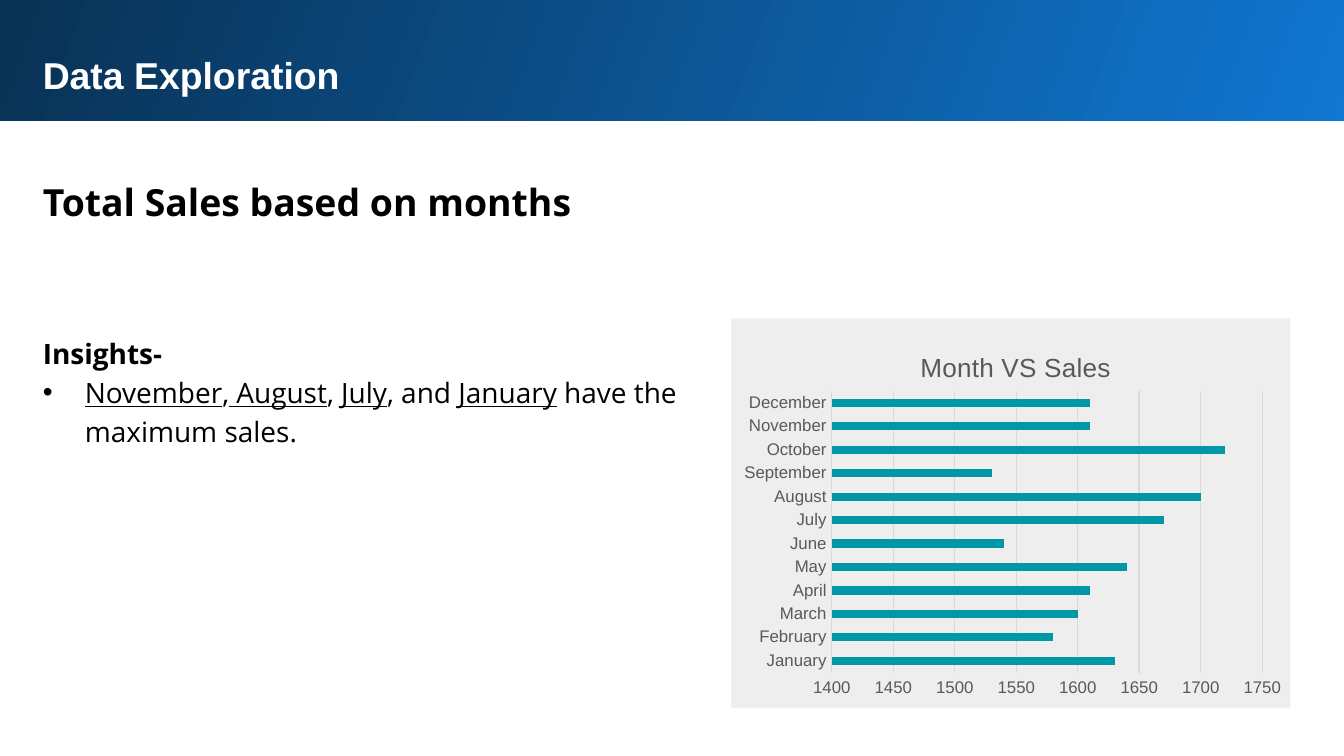
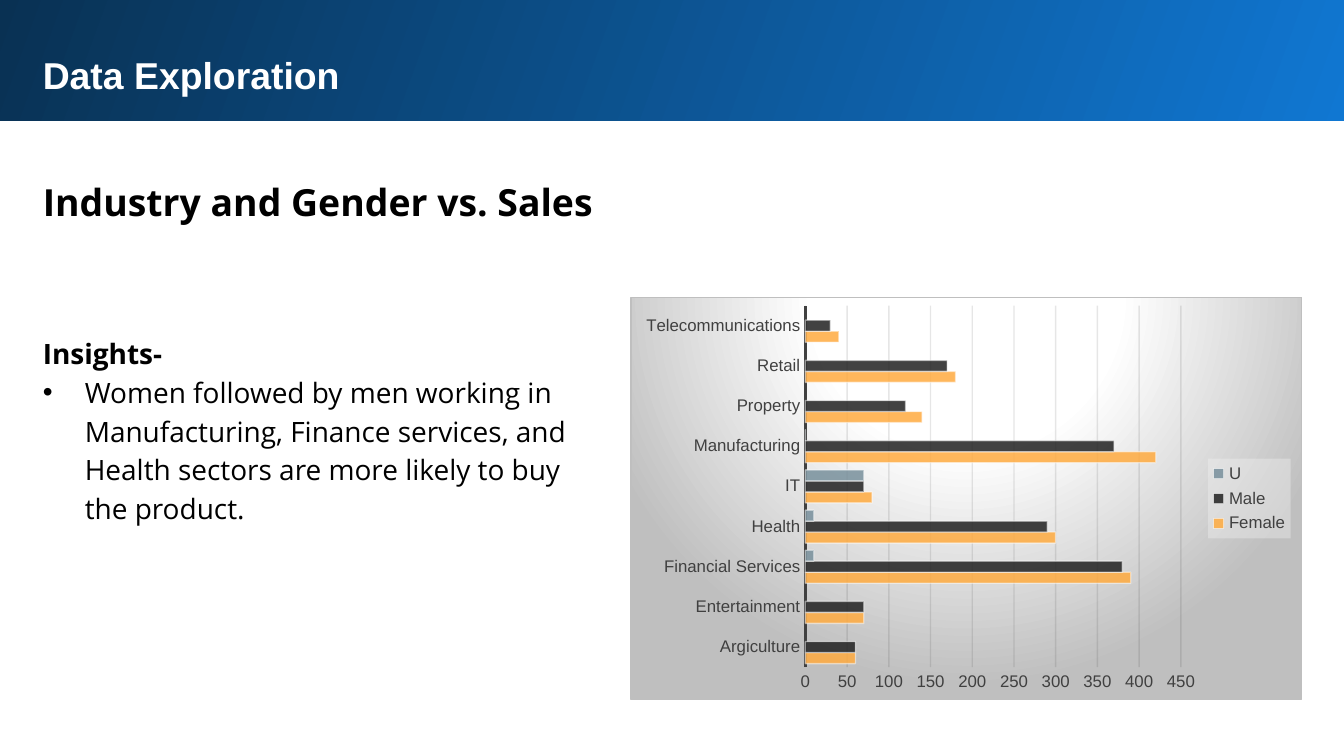
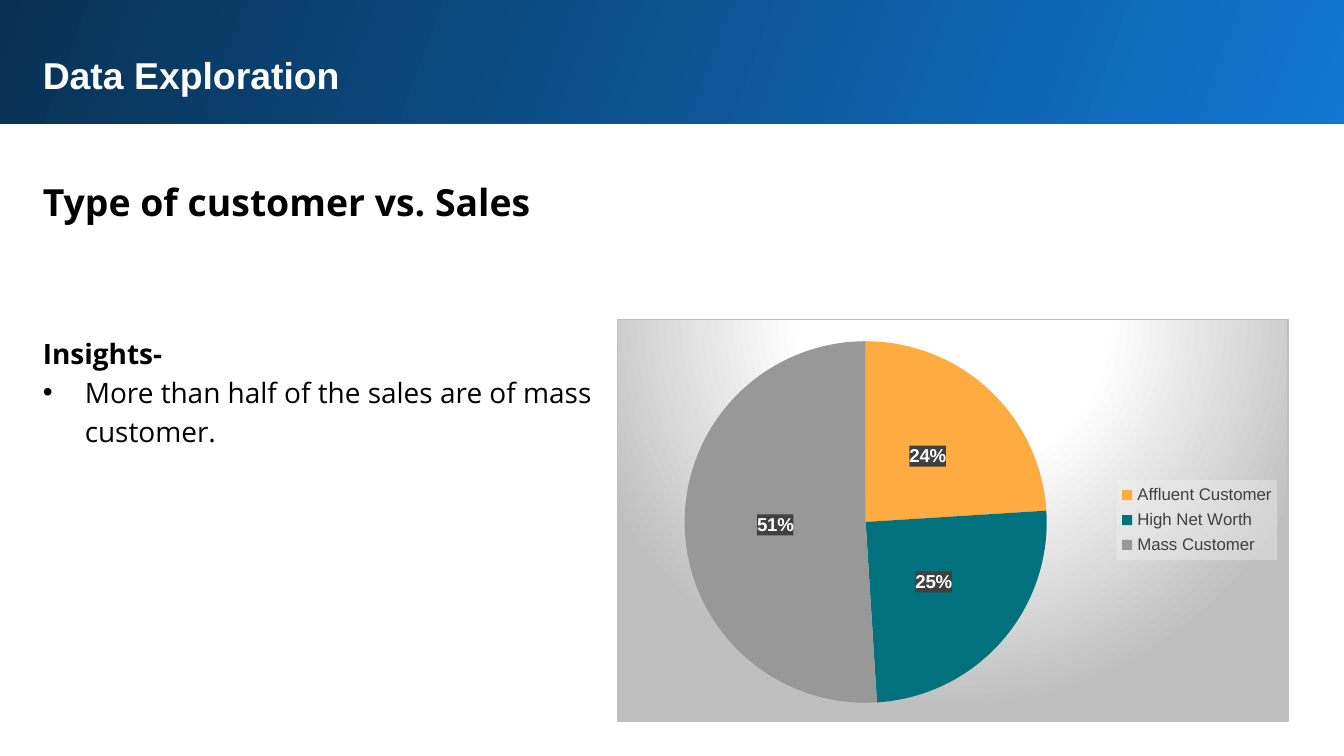
import pptx
import pptx.chart.data
import pptx.dml.color
import pptx.enum.chart
import pptx.enum.shapes
import pptx.enum.text
import pptx.oxml
import pptx.oxml.ns
import pptx.util

Pt = pptx.util.Pt
XL = pptx.enum.chart

COLORS = {
    "white": "FFFFFF", "black": "000000", "blue": "1077D2", "navy": "093153",
    "panel": "EEEEEE", "silver": "BFBFBF", "grid": "D9D9D9", "faint": "0D0D0D",
    "label": "595959", "dark": "404040", "legend": "F2F2F2", "teal": "0097A7",
    "orange": "FFAB40", "coal": "212121", "slate": "78909C",
    "deep_teal": "00717D", "gray": "989898",
}

# Shared formats and margins
BANNER = {"name": "Arial", "size": Pt(20), "bold": True, "color": "white"}
HEADING = {"name": "Open Sans", "size": Pt(20), "bold": True, "color": "black"}
LEAD = {**HEADING, "size": Pt(15)}
BODY = {**LEAD, "bold": False}
AXIS_LIGHT = {"name": "Arial", "size": Pt(9), "bold": False, "color": "label"}
AXIS_DARK = {**AXIS_LIGHT, "color": "dark"}
CHART_TITLE = {**AXIS_LIGHT, "size": Pt(14)}
PERCENT = {"name": "Arial", "size": Pt(10), "bold": True, "color": "white"}
FRAME = {"margin_left": Pt(7.2), "margin_right": Pt(7.2), "margin_top": Pt(7.2),
         "margin_bottom": Pt(7.2), "word_wrap": True,
         "auto_size": pptx.enum.text.MSO_AUTO_SIZE.SHAPE_TO_FIT_TEXT}
LEFT, WIDTH = 15.84, 674.64
INDENT = Pt(22.5)


# Formatting helpers
def rgb(name):
    return pptx.dml.color.RGBColor.from_string(COLORS[name])


def apply(obj, fmt):
    for key, value in fmt.items():
        if key == "color":
            obj.color.rgb = rgb(value)
        else:
            setattr(obj, key, value)


def fill(obj, color):
    obj.fill.solid()
    obj.fill.fore_color.rgb = rgb(color)


def xml(text):
    return pptx.oxml.parse_xml(text.replace(
        ">", " " + pptx.oxml.ns.nsdecls("a", "c") + ">", 1))


def solid(color, alpha):
    return (f'<a:solidFill><a:srgbClr val="{COLORS[color]}">'
            f'<a:alpha val="{alpha * 1000}"/></a:srgbClr></a:solidFill>')


def gradient(stops, direction):
    marks = "".join(f'<a:gs pos="{pos * 1000}"><a:srgbClr val="{COLORS[c]}"/></a:gs>'
                    for pos, c in stops)
    return f"<a:gradFill><a:gsLst>{marks}</a:gsLst>{direction}</a:gradFill>"


# Slide parts
def add_rect(s, box, color=None):
    sp = s.shapes.add_shape(pptx.enum.shapes.MSO_SHAPE.RECTANGLE, *map(Pt, box))
    sp.shadow.inherit = False
    sp.line.fill.background()
    if color:
        fill(sp, color)
    return sp


def add_band(s, left, top):
    sp = add_rect(s, (left, top, 723.6, 66.24))
    grad = gradient([(0, "blue"), (100, "navy")],
                    f'<a:lin ang="{200 * 60000}" scaled="0"/>')
    sp.element.spPr.find(pptx.oxml.ns.qn("a:prstGeom")).addnext(xml(grad))


def add_text(s, box, paragraphs, spacing=1.15):
    """Each paragraph is (format, bulleted, [(text, underlined), ...])."""
    tf = s.shapes.add_textbox(*map(Pt, box)).text_frame
    apply(tf, FRAME)
    for i, (fmt, bulleted, runs) in enumerate(paragraphs):
        p = tf.add_paragraph() if i else tf.paragraphs[0]
        p.line_spacing = spacing
        if bulleted:
            pPr = p._p.get_or_add_pPr()
            pPr.set("marL", str(INDENT))
            pPr.set("indent", str(-INDENT))
            pPr.append(xml('<a:buFont typeface="Arial"></a:buFont>'))
            pPr.append(xml('<a:buChar char="•"></a:buChar>'))
        for text, underlined in runs:
            r = p.add_run()
            r.text = text
            apply(r.font, {**fmt, "underline": underlined})


def add_page(prs, heading, insight, body_size, band=(-1.44, -1.44)):
    s = prs.slides.add_slide(prs.slide_layouts[6])
    add_band(s, *band)
    add_text(s, (LEFT, 20.88, WIDTH, 36.72),
             [(BANNER, False, [("Data Exploration", False)])], 1.0)
    add_text(s, (LEFT, 84.96, WIDTH, 40.32), [(HEADING, False, [(heading, False)])])
    add_text(s, (LEFT, 170.64, *body_size),
             [(LEAD, False, [("Insights-", False)]), (BODY, True, insight)])
    return s


# Chart parts
def add_chart(s, kind, box, cats, series):
    data = pptx.chart.data.CategoryChartData()
    data.categories = cats
    for name, values in series:
        data.add_series(name, values)
    chart = s.shapes.add_chart(kind, *map(Pt, box), data).chart
    apply(chart.font, {"name": "Arial", "size": Pt(10), "color": "black"})
    chart.has_title = chart.has_legend = False
    return chart


def place(parent, index, **spots):
    """Set a manual layout, in fractions of the chart."""
    for old in parent.findall(pptx.oxml.ns.qn("c:layout")):
        parent.remove(old)
    target = '<c:layoutTarget val="inner"/>' if "w" in spots else ""
    modes = "".join(f'<c:{k}Mode val="edge"/>' for k in "xy")
    sizes = "".join(f'<c:{k} val="{v}"/>' for k, v in spots.items())
    parent.insert(index, xml(f"<c:layout><c:manualLayout>{target}{modes}{sizes}"
                             "</c:manualLayout></c:layout>"))


def place_plot(chart, x, y, w, h):
    place(chart.element.xpath("c:chart/c:plotArea")[0], 0, x=x, y=y, w=w, h=h)


def paint(chart, owner, content):
    """Give a chart part its background, ahead of its text properties."""
    for txPr in chart.element.xpath(owner + "c:txPr"):
        txPr.addprevious(xml(f"<c:spPr>{content}</c:spPr>"))


def fade(chart, where, percent):
    for color in chart.element.xpath(f".//{where}/a:solidFill/a:srgbClr"):
        color.append(xml(f'<a:alpha val="{percent * 1000}"></a:alpha>'))


def add_glow(chart):
    glow = gradient([(0, "white"), (39, "white"), (100, "silver")],
                    '<a:path path="circle"><a:fillToRect l="50000" t="-80000" '
                    'r="50000" b="180000"/></a:path>')
    paint(chart, "", f'{glow}<a:ln w="{Pt(0.75)}">{solid("silver", 100)}</a:ln>')


def add_legend(chart):
    chart.has_legend = True
    chart.legend.position = XL.XL_LEGEND_POSITION.RIGHT
    chart.legend.include_in_layout = False
    apply(chart.legend.font, AXIS_DARK)
    paint(chart, "c:chart/c:legend/", solid("legend", 39))


def style_bars(chart, colors, gap, limits, font, line, grid):
    plot = chart.plots[0]
    plot.vary_by_categories = False
    plot.gap_width, plot.overlap = gap, 0
    for ser, color in zip(plot.series, colors):
        fill(ser.format, color)
        ser.invert_if_negative = False
    cat, val = chart.category_axis, chart.value_axis
    for axis in (cat, val):
        axis.major_tick_mark = axis.minor_tick_mark = XL.XL_TICK_MARK.NONE
        apply(axis.tick_labels.font, font)
    cat.has_major_gridlines = False
    apply(cat.format.line, line)
    apply(val, {"minimum_scale": limits[0], "maximum_scale": limits[1],
                "major_unit": 50, "has_major_gridlines": True})
    val.format.line.fill.background()
    apply(val.major_gridlines.format.line, {"color": grid, "width": Pt(0.75)})


# Slides
def months_slide(prs):
    linked = ["November", ",", " August", ", ", "July", ", and ", "January",
              " have the maximum sales."]
    s = add_page(prs, "Total Sales based on months",
                 [(text, i % 2 == 0 and i < 7) for i, text in enumerate(linked)],
                 (357.12, 97.92))
    add_rect(s, (391.68, 170.64, 299.52, 208.8), "panel")
    cats = ["January", "February", "March", "April", "May", "June", "July",
            "August", "September", "October", "November", "December"]
    sales = [1630, 1580, 1600, 1610, 1640, 1540, 1670, 1700, 1530, 1720, 1610, 1610]
    chart = add_chart(s, XL.XL_CHART_TYPE.BAR_CLUSTERED,
                      (391.68, 174.96, 299.52, 203.76), cats, [("Series 1", sales)])
    style_bars(chart, ["teal"], 182, (1400, 1750), AXIS_LIGHT,
               {"color": "grid", "width": Pt(0.75)}, "grid")
    tf = chart.chart_title.text_frame
    r = tf.paragraphs[0].add_run()
    r.text = "Month VS Sales"
    apply(r.font, CHART_TITLE)
    chart.chart_title.include_in_layout = False
    place(chart.element.xpath("c:chart/c:title")[0], 1, x=0.33, y=0.05)
    place_plot(chart, 0.18, 0.17, 0.77, 0.74)


def industry_slide(prs):
    s = add_page(prs, "Industry and Gender vs. Sales",
                 [("Women followed by men working in Manufacturing, Finance services, "
                   "and Health sectors are more likely to buy the product.", False)],
                 (303.84, 160.56))
    cats = ["Argiculture", "Entertainment", "Financial Services", "Health", "IT",
            "Manufacturing", "Property", "Retail", "Telecommunications"]
    series = [("Female", [60, 70, 390, 300, 80, 420, 140, 180, 40]),
              ("Male", [60, 70, 380, 290, 70, 370, 120, 170, 30]),
              ("U", [None, None, 10, 10, 70, 0, None, None, None])]
    chart = add_chart(s, XL.XL_CHART_TYPE.BAR_CLUSTERED,
                      (337.68, 159.12, 360, 216), cats, series)
    style_bars(chart, ["orange", "coal", "slate"], 65, (0, 450), AXIS_DARK,
               {"color": "dark", "width": Pt(1.5)}, "faint")
    for ser in chart.plots[0].series:
        apply(ser.format.line, {"color": "white", "width": Pt(0.75)})
    fade(chart, "c:ser/c:spPr", 85)
    fade(chart, "c:ser/c:spPr/a:ln", 50)
    fade(chart, "c:majorGridlines/c:spPr/a:ln", 10)
    add_legend(chart)
    add_glow(chart)
    place_plot(chart, 0.26, 0.02, 0.56, 0.9)


def customer_slide(prs):
    s = add_page(prs, "Type of customer vs. Sales",
                 [("More than half of the sales are of mass customer.", False)],
                 (325.44, 77.04), band=(0, 0))
    chart = add_chart(s, XL.XL_CHART_TYPE.PIE, (330.48, 170.64, 360, 216),
                      ["Affluent Customer", "High Net Worth", "Mass Customer"],
                      [("Series 1", [24, 25, 51])])
    plot = chart.plots[0]
    for i, color in enumerate(["orange", "deep_teal", "gray"]):
        fill(plot.series[0].points[i].format, color)
    labels = plot.series[0].data_labels
    apply(labels, {"show_percentage": True, "show_value": False,
                   "number_format": "0%", "number_format_is_linked": False,
                   "position": XL.XL_LABEL_POSITION.CENTER})
    apply(labels.font, PERCENT)
    paint(chart, ".//c:ser/c:dLbls/", solid("dark", 90))
    add_legend(chart)
    add_glow(chart)
    place_plot(chart, 0.1, 0.05, 0.54, 0.91)


def main():
    prs = pptx.Presentation()
    prs.slide_width, prs.slide_height = Pt(720), Pt(405)
    months_slide(prs)
    industry_slide(prs)
    customer_slide(prs)
    prs.save("out.pptx")


main()
